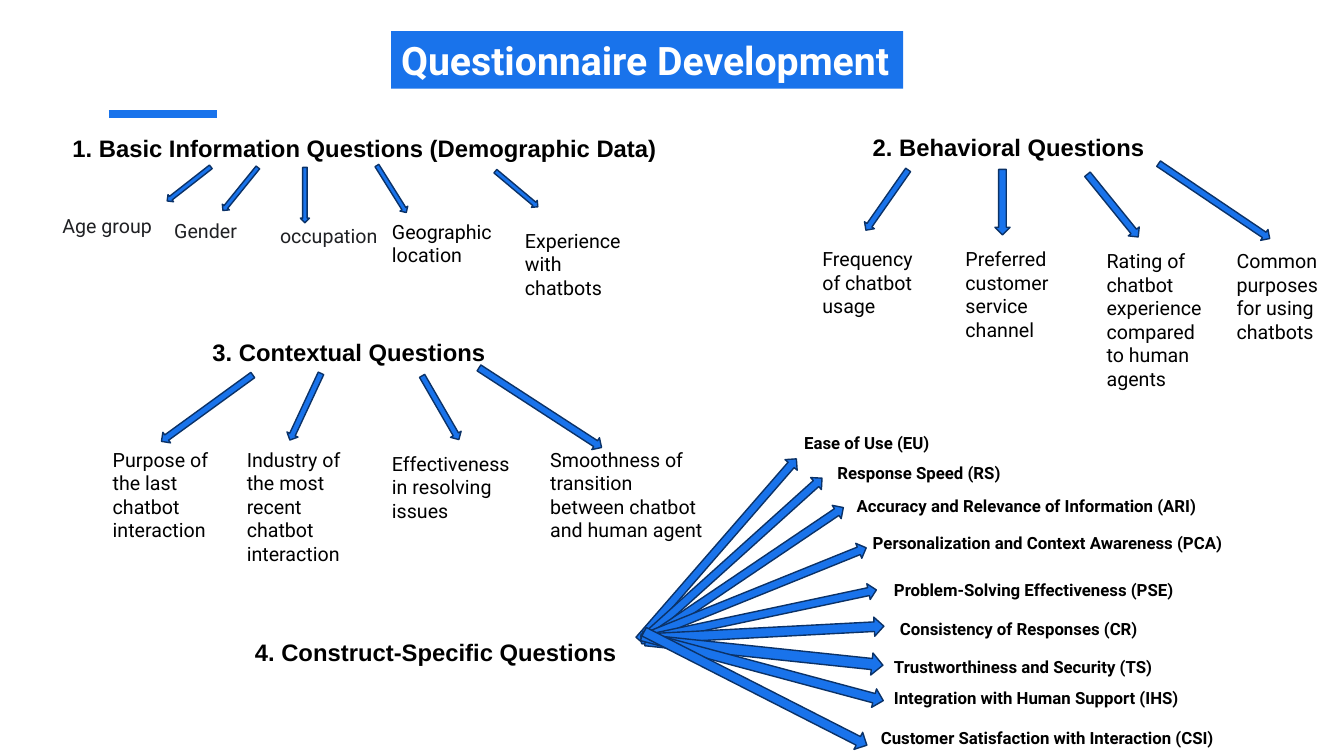
from dataclasses import dataclass
from lxml.etree import SubElement
from pptx import Presentation
from pptx.dml.color import RGBColor
from pptx.enum.shapes import MSO_CONNECTOR as Link, MSO_SHAPE as Kind
from pptx.enum.text import MSO_ANCHOR as Anchor, MSO_AUTO_SIZE as Fit, PP_ALIGN as Align
from pptx.oxml.ns import qn
from pptx.util import Inches, Pt

CELL = Inches(0.1)
COLS, ROWS = 133.33, 75
BLUE, NAVY, BLACK, GREY, WHITE = "1973EB", "0B3267", "000000", "202124", "FFFFFF"


@dataclass(frozen=True)
class Style:
    size: float
    bold: bool = False
    font: str = "Roboto"
    color: str = BLACK


@dataclass(frozen=True)
class Label:
    col: float
    row: float
    wide: float
    high: float
    text: str


@dataclass(frozen=True)
class Arrow:
    col: float
    row: float
    wide: float
    long: float
    turn: float


TITLE = Style(28, True, color=WHITE)
HEAD = Style(17, True, "Arial")
PLAIN = Style(14)
FAINT = Style(14, color=GREY)
TOPIC = Style(12, True)

BANNER = Label(38.8, 3.1, 50.8, 5.7, "Questionnaire Development")
GROUPS: list[tuple[Style, list[Label]]] = [
    (HEAD, [
        Label(6.2, 12.8, 60.6, 3.9, "1. Basic Information Questions (Demographic Data)"),
        Label(85.6, 12.7, 30, 3.9, "2. Behavioral Questions"),
        Label(20.1, 33, 30, 3.9, "3. Contextual Questions"),
        Label(24.3, 62.8, 38, 4, "4. Construct-Specific Questions"),
    ]),
    (FAINT, [
        Label(5.2, 20.7, 12.3, 3.4, "Age group"),
        Label(16.3, 21.2, 12, 3.4, "Gender"),
        Label(26.8, 21.7, 12.6, 3.4, "occupation"),
    ]),
    (PLAIN, [
        Label(37.9, 21.3, 15, 5.7, "Geographic location"),
        Label(51.1, 22.2, 11.6, 8.1, "Experience with chatbots"),
        Label(80.6, 24, 11.6, 11.1, "Frequency of chatbot usage"),
        Label(94.8, 24, 11.6, 12.8, "Preferred customer service channel"),
        Label(108.8, 24.2, 11.6, 18.2, "Rating of chatbot experience compared to human agents"),
        Label(121.7, 24.2, 11.6, 13.5, "Common purposes for using chatbots"),
        Label(10.2, 43.9, 11.6, 13.5, "Purpose of the last chatbot interaction"),
        Label(23.5, 43.9, 11.6, 18.8, "Industry of the most recent chatbot interaction"),
        Label(37.9, 44.3, 14.7, 8.1, "Effectiveness in resolving issues"),
        Label(53.6, 43.9, 17.2, 10.4, "Smoothness of transition between chatbot and human agent"),
    ]),
    (TOPIC, [
        Label(78.8, 42.4, 30, 3, "Ease of Use (EU)"),
        Label(82.1, 45.4, 30, 3, "Response Speed (RS)"),
        Label(84, 48.7, 36.7, 3, "Accuracy and Relevance of Information (ARI)"),
        Label(85.6, 52.4, 37.3, 3, "Personalization and Context Awareness (PCA)"),
        Label(87.7, 57, 30, 3, "Problem-Solving Effectiveness (PSE)"),
        Label(88.3, 60.9, 30, 3, "Consistency of Responses (CR)"),
        Label(87.7, 64.7, 30, 3, "Trustworthiness and Security (TS)"),
        Label(87.7, 67.7, 31.9, 3, "Integration with Human Support (IHS)"),
        Label(86.4, 71.7, 37, 3, "Customer Satisfaction with Interaction (CSI)"),
    ]),
]
ARROWS = [
    Arrow(18.75, 18.25, 0.9, 5.5, 52),
    Arrow(23.85, 18.75, 0.9, 5.5, 39),
    Arrow(30.25, 19.35, 0.9, 5.5, 0),
    Arrow(38.85, 18.75, 0.9, 5.5, 328),
    Arrow(51.25, 18.75, 0.9, 5.5, 310),
    Arrow(88, 19.85, 1.2, 7.3, 35),
    Arrow(99.45, 20.05, 1.5, 6.5, 0),
    Arrow(110.4, 20.4, 1.4, 8, 321),
    Arrow(120.45, 19.95, 1.3, 13.3, 304),
    Arrow(20.55, 40.5, 1.3, 11.2, 54),
    Arrow(30.3, 40.35, 1.2, 7.3, 25),
    Arrow(43.7, 40.45, 1.2, 7.3, 330),
    Arrow(53.6, 40.45, 1.4, 14.5, 303),
    Arrow(71.2, 54.5, 1.6, 23.8, 221),
    Arrow(72.7, 55.4, 1.6, 23.8, 228),
    Arrow(73.8, 57, 1.6, 23.8, 236),
    Arrow(74.9, 58.8, 1.6, 23.8, 248),
    Arrow(75.3, 61, 1.6, 23.8, 258),
    Arrow(75.65, 62.75, 1.9, 24.1, 267),
    Arrow(75.8, 64.75, 2.2, 23.7, 276),
    Arrow(75.65, 66.3, 1.9, 24.8, 285),
    Arrow(74.95, 68.3, 1.9, 24.8, 297),
]


def grid(*cells: float) -> list[int]:
    return [round(n * CELL) for n in cells]


def paint(part, color: str) -> None:
    if hasattr(part, "solid"):
        part.solid()
        part.fore_color.rgb = RGBColor.from_string(color)
    else:
        part.color.rgb = RGBColor.from_string(color)


def write(shape, text: str, style: Style) -> None:
    frame = shape.text_frame
    frame.text = text
    frame.word_wrap = True
    frame.auto_size = Fit.SHAPE_TO_FIT_TEXT
    frame.vertical_anchor = Anchor.TOP
    for para in frame.paragraphs:
        para.alignment = Align.LEFT
        for run in para.runs:
            run.font.name = style.font
            run.font.size = Pt(style.size)
            run.font.bold = style.bold
            paint(run.font, style.color)


def add_label(slide, label: Label, style: Style) -> None:
    box = slide.shapes.add_textbox(*grid(label.col, label.row, label.wide, label.high))
    write(box, label.text, style)


def add_title(slide, label: Label) -> None:
    box = slide.shapes.add_shape(
        Kind.RECTANGLE, *grid(label.col, label.row, label.wide, label.high))
    box.shadow.inherit = False
    paint(box.fill, BLUE)
    box.line.fill.background()
    write(box, label.text, TITLE)


def add_arrow(slide, arrow: Arrow) -> None:
    left = arrow.col - arrow.wide / 2
    top = arrow.row - arrow.long / 2
    shape = slide.shapes.add_shape(
        Kind.DOWN_ARROW, *grid(left, top, arrow.wide, arrow.long))
    shape.rotation = arrow.turn
    shape.shadow.inherit = False
    paint(shape.fill, BLUE)
    paint(shape.line, NAVY)
    shape.line.width = Pt(1)


def add_rule(slide) -> None:
    rule = slide.shapes.add_connector(Link.STRAIGHT, *grid(10.8, 11.3, 21.5, 11.3))
    paint(rule.line, BLUE)
    rule.line.width = Pt(6)
    SubElement(rule._element.spPr, qn("a:effectLst"))


def main() -> None:
    """Build the questionnaire slide and save it."""
    deck = Presentation()
    deck.slide_width, deck.slide_height = grid(COLS, ROWS)
    slide = deck.slides.add_slide(deck.slide_layouts[6])
    add_rule(slide)
    add_title(slide, BANNER)
    for style, labels in GROUPS:
        for label in labels:
            add_label(slide, label, style)
    for arrow in ARROWS:
        add_arrow(slide, arrow)
    deck.save("out.pptx")


if __name__ == "__main__":
    main()
